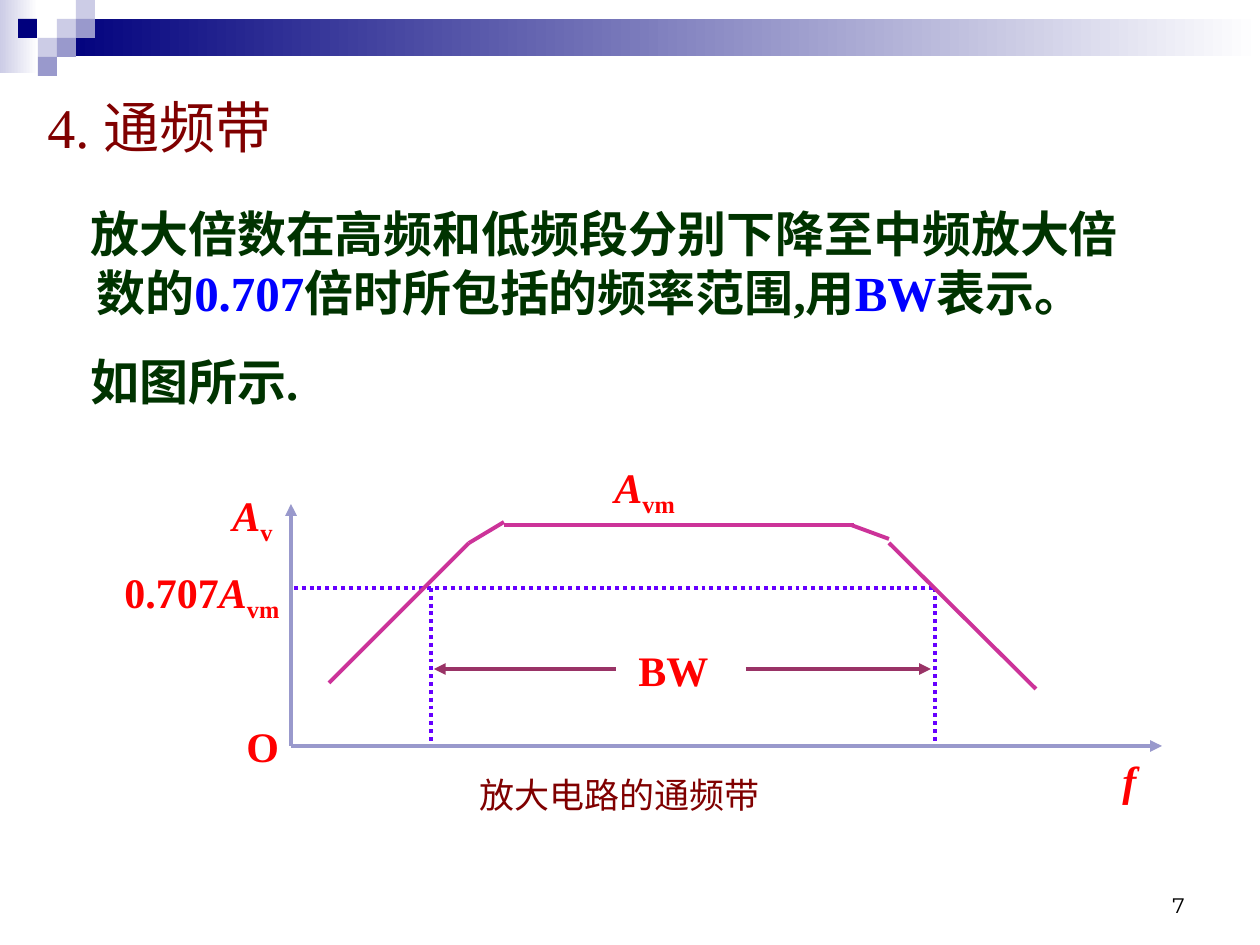
from dataclasses import dataclass

from lxml import etree
from pptx import Presentation
from pptx import util as u
from pptx.dml.color import RGBColor
from pptx.enum import dml, shapes, text
from pptx.oxml.ns import qn

SCALE = 914400 / 126


def px(length):
    return u.Emu(round(length * SCALE))


@dataclass(frozen=True)
class Theme:
    navy: str = "00007D"
    lavender: str = "9999CC"
    pale: str = "CCCCE6"
    white: str = "FFFFFF"
    black: str = "000000"
    maroon: str = "800000"
    green: str = "003300"
    blue: str = "0000FF"
    red: str = "FF0000"
    violet: str = "6600FF"
    plum: str = "993366"
    magenta: str = "CC3399"
    serif: str = "Times New Roman"
    sans: str = "Montserrat"
    title: int = 32
    body: int = 28
    label: int = 24
    caption: int = 20
    number: int = 12
    stroke: float = 2.25


def add_run(paragraph, content, font, size, color, bold=False, italic=False, subscript=False):
    run = paragraph.add_run()
    run.text = content
    run.font.name = font
    run.font.size = u.Pt(size)
    run.font.bold = bold
    run.font.italic = italic
    run.font.color.rgb = RGBColor.from_string(color)
    if subscript:
        run._r.get_or_add_rPr().set("baseline", "-25000")


class SlideBuilder:
    """Draws styled elements on the current slide."""

    def __init__(self, slide, theme):
        self.slide = slide
        self.theme = theme

    def rectangle(self, left, top, width, height, color, fade_to=None):
        shape = self.slide.shapes.add_shape(
            shapes.MSO_SHAPE.RECTANGLE, px(left), px(top), px(width), px(height))
        shape.shadow.inherit = False
        shape.line.fill.background()
        if fade_to:
            shape.fill.gradient()
            shape.fill.gradient_angle = 0
            for stop, value in zip(shape.fill.gradient_stops, (color, fade_to)):
                stop.color.rgb = RGBColor.from_string(value)
        else:
            shape.fill.solid()
            shape.fill.fore_color.rgb = RGBColor.from_string(color)

    def stroke(self, shape, color):
        shape.line.width = u.Pt(self.theme.stroke)
        shape.line.color.rgb = RGBColor.from_string(color)

    def line(self, start, end, color, dotted=False, arrow=False):
        connector = self.slide.shapes.add_connector(
            shapes.MSO_CONNECTOR.STRAIGHT, *map(px, start + end))
        self.stroke(connector, color)
        if dotted:
            connector.line.dash_style = dml.MSO_LINE.ROUND_DOT
        if arrow:
            etree.SubElement(connector.line._get_or_add_ln(), qn("a:tailEnd"), type="triangle")
        etree.SubElement(connector._element.spPr, qn("a:effectLst"))

    def bend(self, start, end, color):
        builder = self.slide.shapes.build_freeform(*start, scale=SCALE)
        builder.add_line_segments([end], close=False)
        shape = builder.convert_to_shape()
        shape.shadow.inherit = False
        shape.fill.background()
        self.stroke(shape, color)

    def text_box(self, left, top, width, height, paragraphs, font=None, space=0,
                 margin=0, indent=0, align=None, anchor=text.MSO_ANCHOR.TOP, **style):
        box = self.slide.shapes.add_textbox(px(left), px(top), px(width), px(height))
        frame = box.text_frame
        frame.word_wrap = True
        frame.vertical_anchor = anchor
        for index, runs in enumerate(paragraphs):
            paragraph = frame.add_paragraph() if index else frame.paragraphs[0]
            if margin:
                properties = paragraph._p.get_or_add_pPr()
                properties.set("marL", str(px(margin)))
                properties.set("indent", str(px(indent)))
            paragraph.alignment = align
            if index:
                paragraph.space_before = u.Pt(space)
            for content, changes in runs:
                add_run(paragraph, content, font or self.theme.serif, **{**style, **changes})

    def label(self, left, top, width, height, *runs):
        self.text_box(left, top, width, height, [runs],
                      size=self.theme.label, color=self.theme.red, bold=True)


def draw_banner(builder, theme):
    builder.rectangle(0, 0, 38, 73, theme.pale, theme.white)
    builder.rectangle(57, 19, 1203, 37, theme.navy, theme.white)
    tiles = [(57, 19, theme.pale), (76, 0, theme.pale), (76, 19, theme.pale),
             (38, 38, theme.pale), (18, 19, theme.navy), (57, 38, theme.lavender),
             (38, 57, theme.lavender)]
    tiles[2] = (76, 19, theme.lavender)
    for left, top, color in tiles:
        builder.rectangle(left, top, 19, 19, color)


def draw_text(builder, theme):
    blue = {"color": theme.blue}
    builder.text_box(903, 861, 294, 63, [[("7", {})]], font=theme.sans, size=theme.number,
                     color=theme.black, align=text.PP_ALIGN.RIGHT,
                     anchor=text.MSO_ANCHOR.BOTTOM)
    definition = [("放大倍数在高频和低频段分别下降至中频放大倍数的", {}), ("0.707", blue),
                  ("倍时所包括的频率范围,用", {}), ("BW", blue), ("表示。", {})]
    builder.text_box(0, 197, 1152, 220, [definition, [("如图所示.", {})]], space=17.5,
                     margin=84, indent=-6, size=theme.body, color=theme.green, bold=True)
    builder.text_box(467, 767, 355, 55, [[("放大电路的通频带", {})]],
                     size=theme.caption, color=theme.maroon)
    builder.text_box(35, 86, 571, 81, [[("4. 通频带", {})]], margin=84, indent=-84,
                     size=theme.title, color=theme.maroon)


def draw_response(builder, theme):
    origin = (291, 746)
    low, high, cutoff, arrow_y = 431, 935, 588, 669
    builder.line((294, cutoff), (high, cutoff), theme.violet, dotted=True)
    for edge in (low, high):
        builder.line((edge, cutoff), (edge, 744), theme.violet, dotted=True)
    for start, end in ((746, high - 4), (616, low + 3)):
        builder.line((start, arrow_y), (end, arrow_y), theme.plum, arrow=True)

    for start, end in (((504, 525), (854, 525)), ((469, 543), (329, 683)),
                       ((889, 543), (1036, 689))):
        builder.line(start, end, theme.magenta)
    builder.bend((469, 543), (504, 522), theme.magenta)
    builder.bend((851, 525), (889, 539), theme.magenta)
    for end in ((1162, 746), (291, 504)):
        builder.line(origin, end, theme.lavender, arrow=True)

    gain = ("A", {"italic": True})
    middle = ("vm", {"subscript": True})
    builder.label(626, 638, 105, 63, ("BW", {}))
    builder.label(112, 560, 220, 71, ("0.707", {}), gain, middle)
    builder.label(602, 455, 102, 71, gain, middle)
    builder.label(220, 483, 102, 71, gain, ("v", {"subscript": True}))
    builder.label(234, 714, 95, 63, ("O", {}))
    builder.label(1110, 748, 102, 63, ("f", {"italic": True}))


def main():
    theme = Theme()
    presentation = Presentation()
    presentation.slide_width, presentation.slide_height = px(1260), px(945)
    slide = presentation.slides.add_slide(presentation.slide_layouts[6])
    builder = SlideBuilder(slide, theme)
    draw_banner(builder, theme)
    draw_text(builder, theme)
    draw_response(builder, theme)
    presentation.save("out.pptx")


if __name__ == "__main__":
    main()
